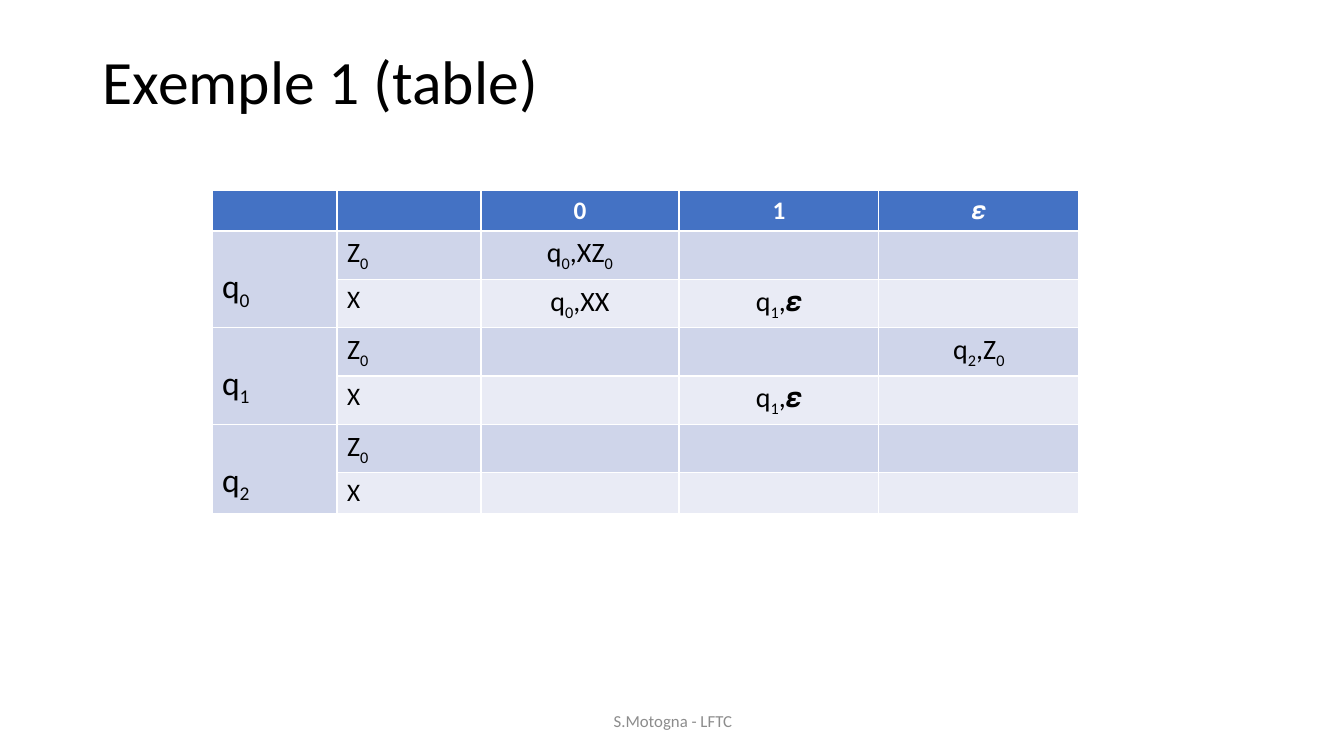
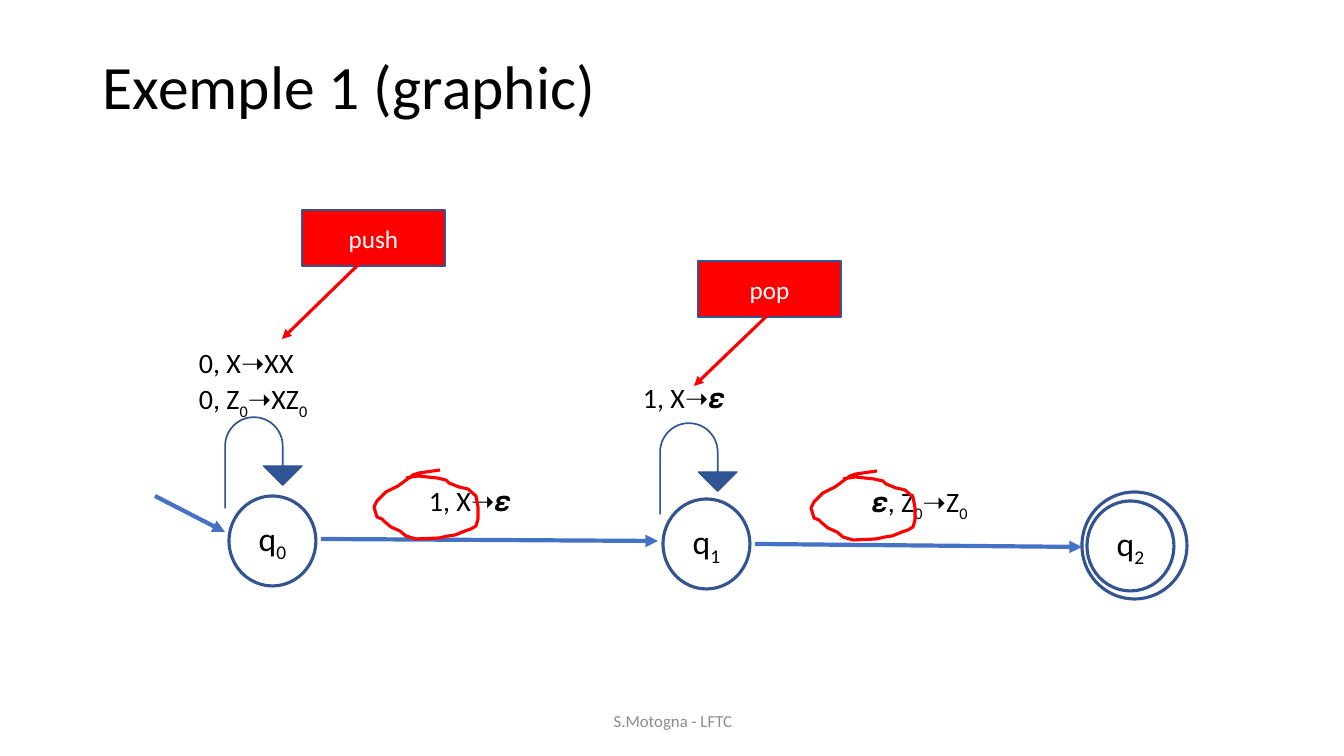
from lxml.etree import SubElement
from pptx import Presentation
from pptx.dml.color import RGBColor
from pptx.enum.shapes import MSO_CONNECTOR, MSO_SHAPE
from pptx.enum.text import MSO_ANCHOR, PP_ALIGN
from pptx.oxml.ns import qn
from pptx.util import Pt

PIXEL = 914400 / 100.8
COLORS = {
    "black": "000000", "white": "FFFFFF", "gray": "8C8C8C", "red": "FF0000",
    "blue": "4472C4", "navy": "325491", "loop": "2F5597",
    "band_dark": "CFD5EA", "band_light": "E9EBF5",
}
RGB = {name: RGBColor.from_string(value) for name, value in COLORS.items()}
MIDDLE = {"word_wrap": True, "vertical_anchor": MSO_ANCHOR.MIDDLE}
EPSILON = "\U0001D73A"
ARROW = "\u279d"


def write(frame, text, size, color="black", align=PP_ALIGN.LEFT, bold=False):
    """Fill a text frame; the character after each underscore is a subscript."""
    para = frame.paragraphs[0]
    para.alignment = align
    style = {"name": "Calibri", "size": Pt(size), "bold": bold}
    first, *others = text.split("_")
    pieces = [(first, False)]
    for other in others:
        pieces += [(other[0], True), (other[1:], False)]
    for piece, lowered in pieces:
        if not piece:
            continue
        span = para.add_run()
        span.text = piece
        for name, value in style.items():
            setattr(span.font, name, value)
        span.font.color.rgb = RGB[color]
        if lowered:
            span.font._element.set("baseline", "-25000")
    return para


def add_box(slide, kind, area, fill=None, line=None, width=1, layout=MIDDLE):
    """Add a preset shape, or a text box when kind is None, at a pixel area."""
    place = [round(value * PIXEL) for value in area]
    if kind is None:
        box = slide.shapes.add_textbox(*place)
    else:
        box = slide.shapes.add_shape(kind, *place)
        box.shadow.inherit = False
        box.line.color.rgb = RGB[line]
        box.line.width = Pt(width)
        if fill:
            box.fill.solid()
            box.fill.fore_color.rgb = RGB[fill]
        else:
            box.fill.background()
    for name, value in layout.items():
        setattr(box.text_frame, name, value)
    return box


deck = Presentation()
deck.slide_width = round(1344 * PIXEL)
deck.slide_height = round(756 * PIXEL)

# Title and footer of both slides
slides = []
for title, title_height in [("Exemple 1 (table)", 90), ("Exemple 1 (graphic)", 100)]:
    slide = deck.slides.add_slide(deck.slide_layouts[6])
    box = add_box(slide, None, (93, 40, 1159, title_height))
    write(box.text_frame, title, 44).line_spacing = 0.9
    box = add_box(slide, None, (446, 701, 454, 40))
    write(box.text_frame, "S.Motogna - LFTC", 12, "gray", PP_ALIGN.CENTER)
    slides.append(slide)
table_slide, graph_slide = slides

# Transition table
rows = [
    ["", "", "0", "1", EPSILON],
    ["q_0", "Z_0", "q_0,XZ_0", "", ""],
    ["", "X", "q_0,XX", "q_1," + EPSILON, ""],
    ["q_1", "Z_0", "", "", "q_2,Z_0"],
    ["", "X", "", "q_1," + EPSILON, ""],
    ["q_2", "Z_0", "", "", ""],
    ["", "X", "", "", ""],
]
column_widths = [125, 144, 198, 200, 200]
row_height = 41
place = [round(value * PIXEL) for value in
         (212, 190, sum(column_widths), row_height * len(rows))]
table = table_slide.shapes.add_table(len(rows), len(column_widths), *place).table
for column, width in zip(table.columns, column_widths):
    column.width = round(width * PIXEL)
for top in (1, 3, 5):
    table.cell(top, 0).merge(table.cell(top + 1, 0))
for i, row in enumerate(rows):
    table.rows[i].height = round(row_height * PIXEL)
    for j, text in enumerate(row):
        cell = table.cell(i, j)
        is_state = i > 0 and j == 0
        dark = is_state or i % 2 == 1
        fill = "blue" if i == 0 else "band_dark" if dark else "band_light"
        cell.fill.solid()
        cell.fill.fore_color.rgb = RGB[fill]
        if not text:
            continue
        if is_state:
            cell.margin_top = round(36 * PIXEL)
        size = 18 if i == 0 or text == "X" else 24 if is_state else 20
        write(cell.text_frame, text, size, "white" if i == 0 else "black",
              PP_ALIGN.CENTER if j > 1 else PP_ALIGN.LEFT, bold=i == 0)

# States, with a second ring round the final one
for state, left, top in [("q_0", 229, 496), ("q_1", 663, 499), ("q_2", 1087, 501)]:
    box = add_box(graph_slide, MSO_SHAPE.OVAL, (left, top, 87, 90), None, "navy", 2.25)
    write(box.text_frame, state, 24, align=PP_ALIGN.CENTER)
add_box(graph_slide, MSO_SHAPE.OVAL, (1082, 492, 105, 107), None, "navy", 2.25)

# Loops on the first two states
for left, top in [(225, 417), (660, 423)]:
    loop = add_box(graph_slide, MSO_SHAPE.U_TURN_ARROW, (left, top, 77, 91), "loop", "navy")
    for k, value in enumerate([0.004, 0.25, 0.25, 0.438, 0.75]):
        loop.adjustments[k] = value

# Transition labels
for text, left, top, width in [
    (f"0, Z_0{ARROW}XZ_0", 189, 377, 157),
    (f"0, X{ARROW}XX", 189, 341, 157),
    (f"1, X{ARROW}{EPSILON}", 419, 479, 131),
    (f"1, X{ARROW}{EPSILON}", 633, 376, 131),
    (f"{EPSILON}, Z_0{ARROW}Z_0", 862, 480, 131),
]:
    box = add_box(graph_slide, None, (left, top, width, 44), layout={"word_wrap": True})
    write(box.text_frame, text, 20)

# Stack operations
for text, left, top in [("push", 302, 210), ("pop", 698, 261)]:
    box = add_box(graph_slide, MSO_SHAPE.RECTANGLE, (left, top, 143, 56), "red", "navy")
    write(box.text_frame, text, 18, "white", PP_ALIGN.CENTER)

# Arrows
for ends, color, width in [
    ((321, 539, 658, 541), "blue", 3),
    ((755, 544, 1082, 547), "blue", 3),
    ((155, 496, 225, 532), "blue", 3),
    ((359, 264, 282, 339), "red", 2.25),
    ((771, 312, 694, 386), "red", 2.25),
]:
    arrow = graph_slide.shapes.add_connector(
        MSO_CONNECTOR.STRAIGHT, *[round(value * PIXEL) for value in ends])
    arrow.line.color.rgb = RGB[color]
    arrow.line.width = Pt(width)
    properties = arrow._element.spPr
    SubElement(properties.find(qn("a:ln")), qn("a:tailEnd"), type="triangle")
    SubElement(properties, qn("a:effectLst"))

# Hand-drawn rings round the symbols read
ring = [
    (66, 0), (45, 3), (39, 5), (24, 16), (12, 22), (3, 31), (0, 37), (3, 47),
    (8, 49), (11, 52), (17, 57), (26, 61), (32, 66), (42, 69), (65, 68),
    (74, 66), (81, 65), (91, 61), (97, 59), (102, 56), (104, 49), (104, 37),
    (102, 26), (94, 19), (85, 17), (75, 13), (72, 10), (63, 8), (44, 6), (32, 8),
]
for left, top in [(374, 470), (811, 471)]:
    points = [(left + x, top + y) for x, y in ring]
    builder = graph_slide.shapes.build_freeform(*points[0], scale=PIXEL)
    builder.add_line_segments(points[1:], close=False)
    outline = builder.convert_to_shape()
    outline.shadow.inherit = False
    outline.fill.background()
    outline.line.color.rgb = RGB["red"]
    outline.line.width = Pt(2.25)

deck.save("out.pptx")
